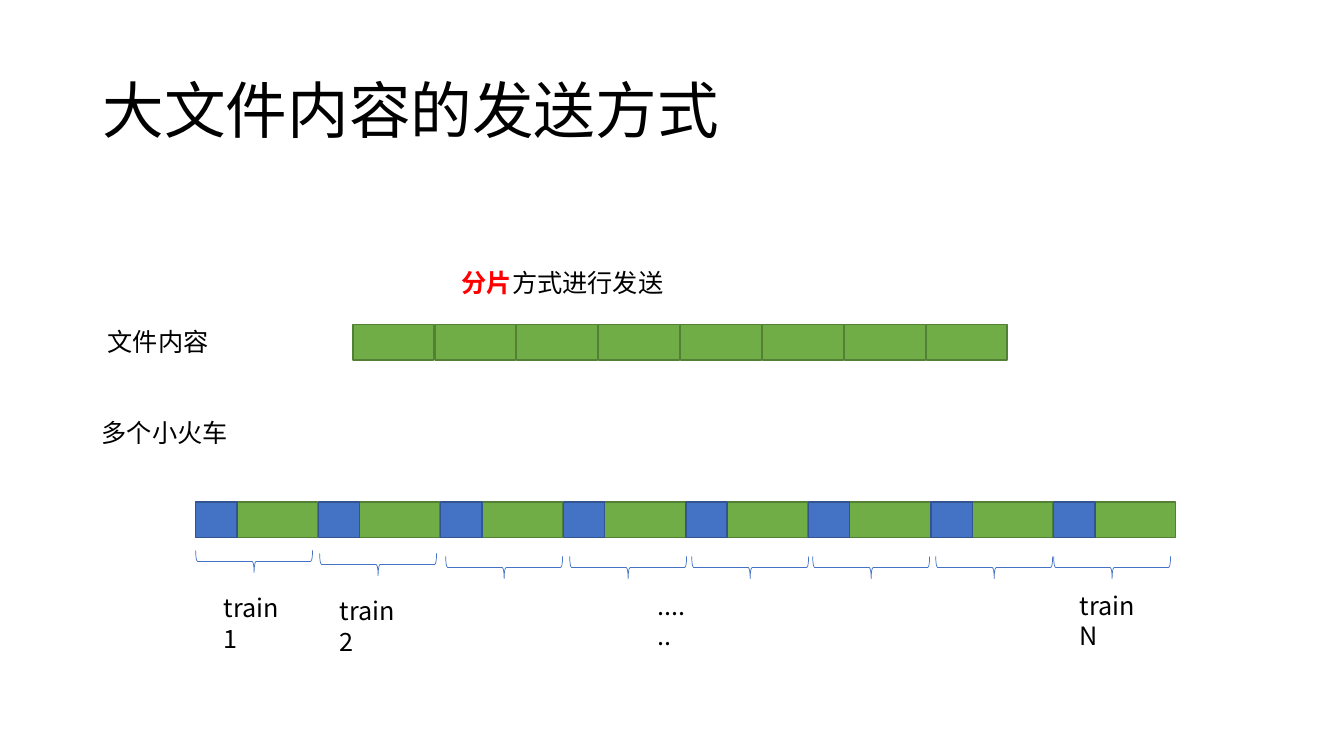
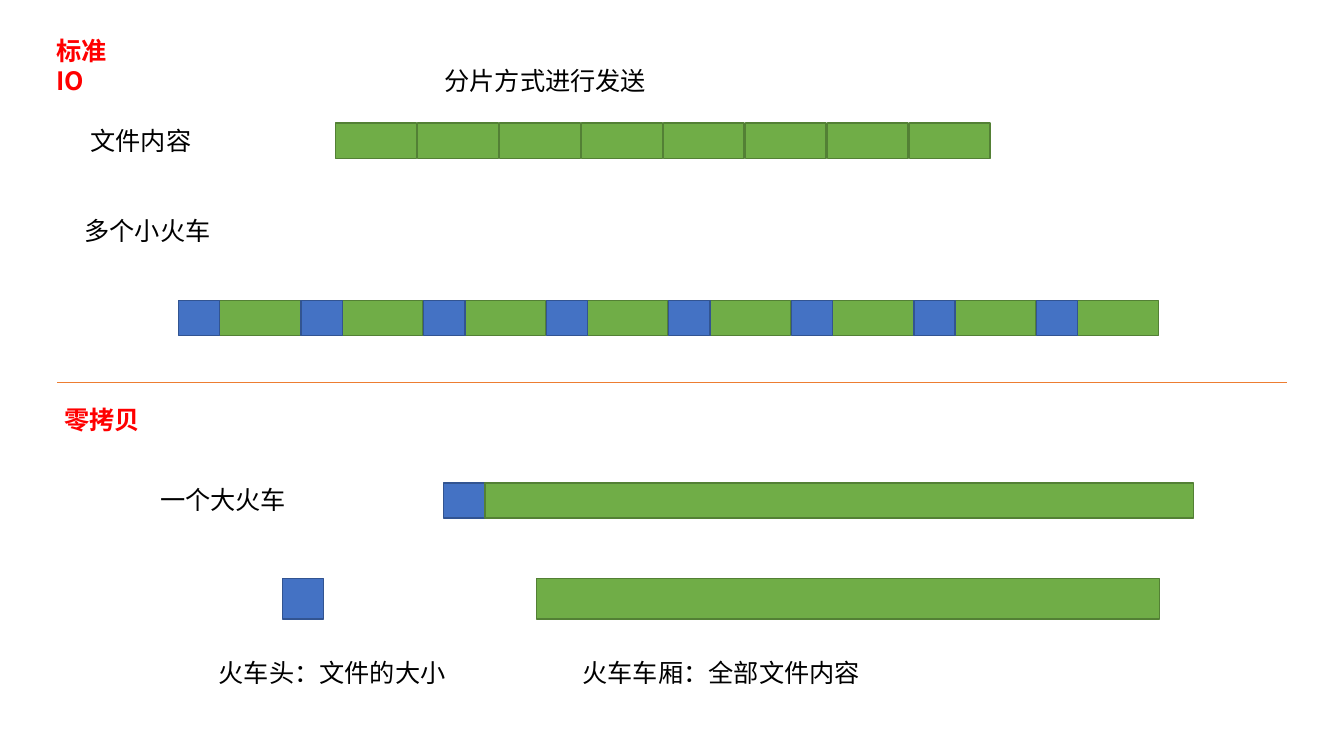
from lxml import etree
from pptx import Presentation
from pptx.dml.color import RGBColor
from pptx.enum.shapes import MSO_CONNECTOR, MSO_SHAPE
from pptx.enum.text import MSO_ANCHOR
from pptx.oxml.ns import qn
from pptx.util import Inches, Pt

RECT = MSO_SHAPE.RECTANGLE
BRACE = MSO_SHAPE.RIGHT_BRACE
LINE = MSO_CONNECTOR.STRAIGHT
TOP = MSO_ANCHOR.TOP
MIDDLE = MSO_ANCHOR.MIDDLE

FONT = "Noto Sans CJK SC"
BLACK = RGBColor(0x00, 0x00, 0x00)
RED = RGBColor(0xFF, 0x00, 0x00)
GREEN = RGBColor(0x70, 0xAD, 0x47)
MOSS = RGBColor(0x53, 0x80, 0x35)
BLUE = RGBColor(0x44, 0x72, 0xC4)
NAVY = RGBColor(0x32, 0x54, 0x91)
ORANGE = RGBColor(0xED, 0x7D, 0x31)

COUNT = 8
HEAD = 0.41
CAR = 0.8
BAR = 0.35
PIECE_STEP = 5.69 / (COUNT - 1)
TRAIN_STEP = 8.51 / (COUNT - 1)
BRACES = [(2.41, 4.99), (3.64, 5.02), (4.89, 5.05), (6.12, 5.05),
          (7.33, 5.05), (8.53, 5.05), (9.75, 5.05), (10.92, 5.05)]


def add_text(slide, box, runs, size=18, anchor=TOP, spacing=None):
    frame = slide.shapes.add_textbox(*map(Inches, box)).text_frame
    frame.word_wrap = True
    frame.vertical_anchor = anchor
    para = frame.paragraphs[0]
    if spacing:
        para.line_spacing = spacing
    for text, color, bold in runs:
        run = para.add_run()
        run.text = text
        font = run.font
        font.name = FONT
        font.size = Pt(size)
        font.bold = bold
        font.color.rgb = color
        east = etree.SubElement(run._r.get_or_add_rPr(), qn("a:ea"))
        east.set("typeface", FONT)


def add_label(slide, left, top, width, text):
    add_text(slide, (left, top, width, 0.4), [(text, BLACK, False)])


def add_tag(slide, left, top, width, text):
    add_text(slide, (left, top, width, 0.4), [(text, RED, True)])


def add_block(slide, box, fill, edge):
    block = slide.shapes.add_shape(RECT, *map(Inches, box))
    block.shadow.inherit = False
    block.fill.solid()
    block.fill.fore_color.rgb = fill
    block.line.color.rgb = edge
    block.line.width = Pt(1)


def add_car(slide, left, top, width=CAR, height=BAR):
    add_block(slide, (left, top, width, height), GREEN, MOSS)


def add_head(slide, left, top, height=BAR):
    add_block(slide, (left, top, HEAD, height), BLUE, NAVY)


def add_brace(slide, left, top):
    brace = slide.shapes.add_shape(
        BRACE, Inches(left), Inches(top), Inches(0.22), Inches(1.16))
    brace.rotation = 90
    brace.shadow.inherit = False
    brace.fill.background()
    brace.line.color.rgb = BLUE
    brace.line.width = Pt(0.5)


def add_rule(slide, left, right, top):
    rule = slide.shapes.add_connector(
        LINE, Inches(left), Inches(top), Inches(right), Inches(top))
    rule.line.color.rgb = ORANGE
    rule.line.width = Pt(0.5)
    etree.SubElement(rule._element.spPr, qn("a:effectLst"))


def add_split(slide, left, top, caption):
    for i in range(COUNT):
        add_car(slide, left + 2.53 + i * PIECE_STEP, top + 0.62)
    for i in range(COUNT):
        start = left + 0.97 + i * TRAIN_STEP
        add_car(slide, start + HEAD, top + 2.38)
        add_head(slide, start, top + 2.38)
    add_text(slide, (left + 3.51, top, 2.39, 0.4), caption)
    add_label(slide, left, top + 0.59, 1.22, "文件内容")
    add_label(slide, left - 0.06, top + 1.49, 1.47, "多个小火车")


def build_send(slide):
    add_text(slide, (0.92, 0.4, 11.5, 1.45),
             [("大文件内容的发送方式", BLACK, False)], 44, MIDDLE, 0.9)
    add_split(slide, 0.97, 2.6,
              [("分片", RED, True), ("方式进行发送", BLACK, False)])
    for left, top in BRACES:
        add_brace(slide, left, top)
    for left, top, width, text in [
            (2.12, 5.83, 0.81, "train1"), (3.27, 5.86, 0.81, "train2"),
            (6.42, 5.81, 0.53, "......"), (10.61, 5.81, 0.86, "trainN")]:
        add_label(slide, left, top, width, text)


def build_modes(slide):
    add_tag(slide, 0.46, 0.3, 0.96, "标准IO")
    add_split(slide, 0.8, 0.6, [("分片方式进行发送", BLACK, False)])
    add_rule(slide, 0.57, 12.76, 3.79)
    add_tag(slide, 0.54, 3.96, 0.96, "零拷贝")
    add_label(slide, 1.49, 4.76, 1.47, "一个大火车")
    add_head(slide, 4.4, 4.79)
    add_car(slide, 4.4 + HEAD, 4.79, 7.03)
    add_head(slide, 2.8, 5.74, 0.4)
    add_car(slide, 5.32, 5.74, 6.18, 0.4)
    add_label(slide, 2.07, 6.47, 2.5, "火车头：文件的大小")
    add_label(slide, 5.68, 6.47, 3, "火车车厢：全部文件内容")


def main():
    deck = Presentation()
    deck.slide_width = Inches(13.33)
    deck.slide_height = Inches(7.5)
    blank = deck.slide_layouts[6]
    for build in (build_send, build_modes):
        build(deck.slides.add_slide(blank))
    deck.save("out.pptx")


if __name__ == "__main__":
    main()
